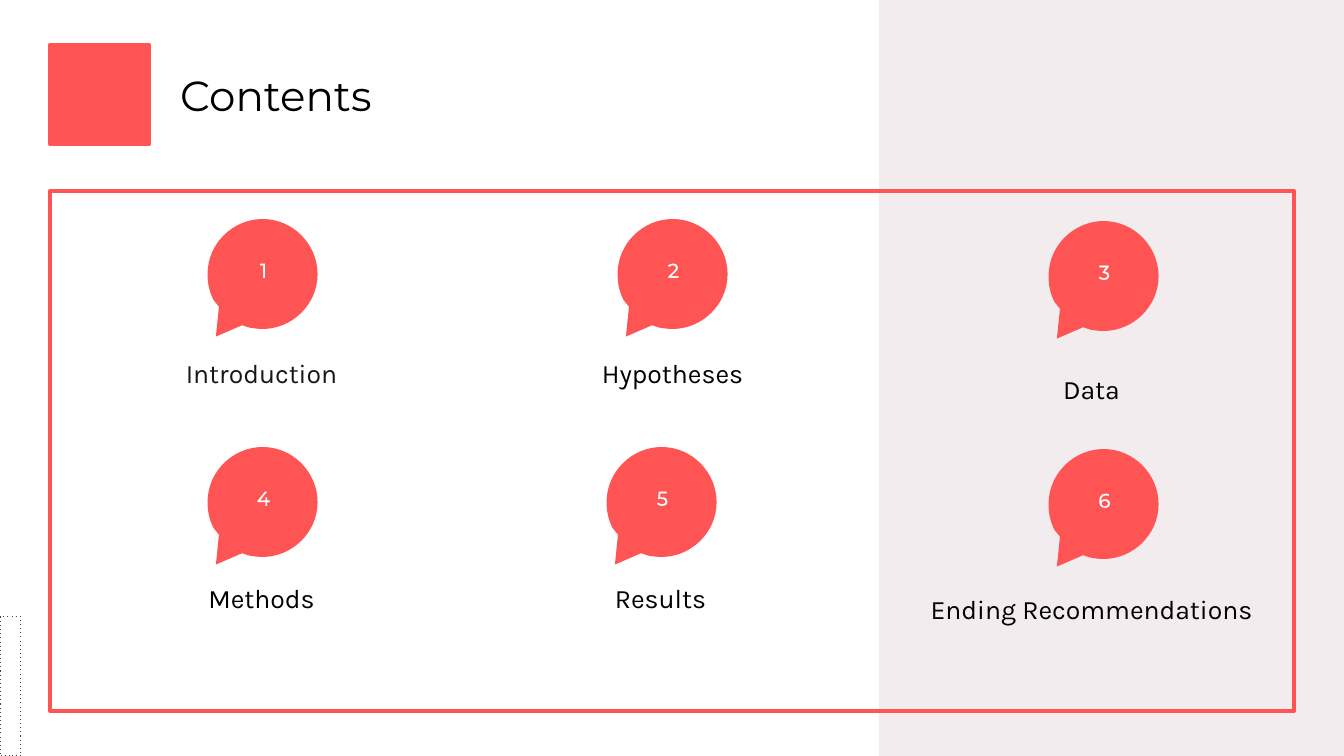
from dataclasses import dataclass

from lxml.etree import SubElement
from pptx import Presentation
from pptx.dml.color import RGBColor
from pptx.enum.dml import MSO_LINE
from pptx.enum.shapes import MSO_SHAPE
from pptx.enum.text import MSO_ANCHOR, MSO_AUTO_SIZE, PP_ALIGN
from pptx.oxml import parse_xml
from pptx.oxml.ns import nsdecls, qn
from pptx.util import Pt

PX = 914400 / 100.8


@dataclass(frozen=True)
class Theme:
    coral: str = "FF5454"
    blush: str = "F3ECEF"
    white: str = "FFFFFF"
    black: str = "000000"
    ink: str = "171717"
    dotted: str = "434343"
    heading: str = "Montserrat"
    body: str = "Karla"
    title_size: int = 30
    label_size: int = 19
    number_size: int = 14


theme = Theme()


def paint(shape, fill=None, line=None, width=3):
    shape.shadow.inherit = False
    if fill:
        shape.fill.solid()
        shape.fill.fore_color.rgb = RGBColor.from_string(fill)
    else:
        shape.fill.background()
    if line:
        shape.line.color.rgb = RGBColor.from_string(line)
        shape.line.width = Pt(width)
    else:
        shape.line.fill.background()


def write(box, text, font, size, color, align=PP_ALIGN.CENTER, anchor=MSO_ANCHOR.TOP,
          inset=(13, 13), wrap=True, spacing=None, after=0, outlined=False):
    frame = box.text_frame
    frame.auto_size = MSO_AUTO_SIZE.NONE
    frame.word_wrap = wrap
    frame.vertical_anchor = anchor
    frame.margin_left = frame.margin_right = round(inset[0] * PX)
    frame.margin_top = frame.margin_bottom = round(inset[1] * PX)
    paragraph = frame.paragraphs[0]
    paragraph.alignment = align
    paragraph.space_after = Pt(after)
    if spacing:
        paragraph.line_spacing = spacing
    run = paragraph.add_run()
    run.text = text
    run.font.name = font
    run.font.size = Pt(size)
    run.font.color.rgb = RGBColor.from_string(color)
    if outlined:
        run.font._element.insert(0, parse_xml(
            f'<a:ln {nsdecls("a")} w="9525"><a:solidFill><a:srgbClr val="{color}"/>'
            '</a:solidFill></a:ln>'))


deck = Presentation()
deck.slide_width, deck.slide_height = round(1344 * PX), round(756 * PX)
slide = deck.slides.add_slide(deck.slide_layouts[5])
shapes = slide.shapes

# Side panel, frame, title square and dotted tab
for area, fill, line, width in [
    ((879, 0, 465, 756), theme.blush, None, 0),
    ((50, 191, 1244, 520), None, theme.coral, 3),
    ((50, 45, 99, 99), theme.coral, theme.coral, 3),
    ((0, 617, 21, 139), theme.white, theme.dotted, 0.75),
]:
    block = shapes.add_shape(MSO_SHAPE.RECTANGLE, *(round(v * PX) for v in area))
    paint(block, fill, line, width)
block.line.dash_style = MSO_LINE.ROUND_DOT
next(block._element.iter(qn("a:prstDash"))).set("val", "dot")

title = shapes.title
title.left, title.top, title.width, title.height = (round(v * PX) for v in (167, 45, 1132, 99))
write(title, "Contents", theme.heading, theme.title_size, theme.black,
      align=PP_ALIGN.LEFT, anchor=MSO_ANCHOR.MIDDLE)

# Speech bubble from its top: three points make a curve, one a straight side
BUBBLE_START = (55, 0)
BUBBLE_SEGMENTS = [
    [(85, 0), (110, 25), (110, 55)],
    [(110, 85), (85, 110), (55, 110)],
    [(51, 110), (48, 110), (44, 109)],
    [(40, 108)],
    [(15, 122)],
    [(15, 92)],
    [(9, 86)],
    [(3, 77), (0, 66), (0, 55)],
    [(0, 25), (25, 0), (55, 0)],
]

# Section, bubble corner, label left, top and height, label colour
sections = [
    ("Introduction", (207, 219), (80, 339, 115), theme.ink),
    ("Hypotheses", (617, 219), (491, 339, 99), theme.black),
    ("Data", (1048, 221), (910, 355, 99), theme.black),
    ("Methods", (207, 447), (80, 564, 146), theme.black),
    ("Results", (606, 447), (479, 564, 99), theme.black),
    ("Ending Recommendations", (1048, 449), (910, 575, 99), theme.black),
]
for number, (section, (x, y), (left, top, height), color) in enumerate(sections, 1):
    builder = shapes.build_freeform(*BUBBLE_START, scale=PX)
    builder.add_line_segments([p for segment in BUBBLE_SEGMENTS for p in segment], close=True)
    bubble = builder.convert_to_shape(round(x * PX), round(y * PX))
    bubble.left, bubble.top = round(x * PX), round(y * PX)
    bubble.rotation = 5.9
    paint(bubble, theme.coral)
    sides = iter(list(bubble._element.iter(qn("a:lnTo"))))
    for segment in BUBBLE_SEGMENTS:
        corners = [next(sides) for _ in segment]
        if len(corners) == 3:
            outline = corners[0].getparent()
            curve = SubElement(outline, qn("a:cubicBezTo"))
            outline.replace(corners[0], curve)
            for corner in corners:
                curve.append(corner[0])
            for corner in corners[1:]:
                outline.remove(corner)

    number_box = shapes.add_textbox(*(round(v * PX) for v in (x + 43, y + 34, 27, 41)))
    write(number_box, str(number), theme.heading, theme.number_size, theme.white,
          inset=(0, 5), wrap=False, outlined=True)

    label = shapes.add_textbox(*(round(v * PX) for v in (left, top, 363, height)))
    write(label, section, theme.body, theme.label_size, color, spacing=1.15, after=21)

deck.save("out.pptx")
